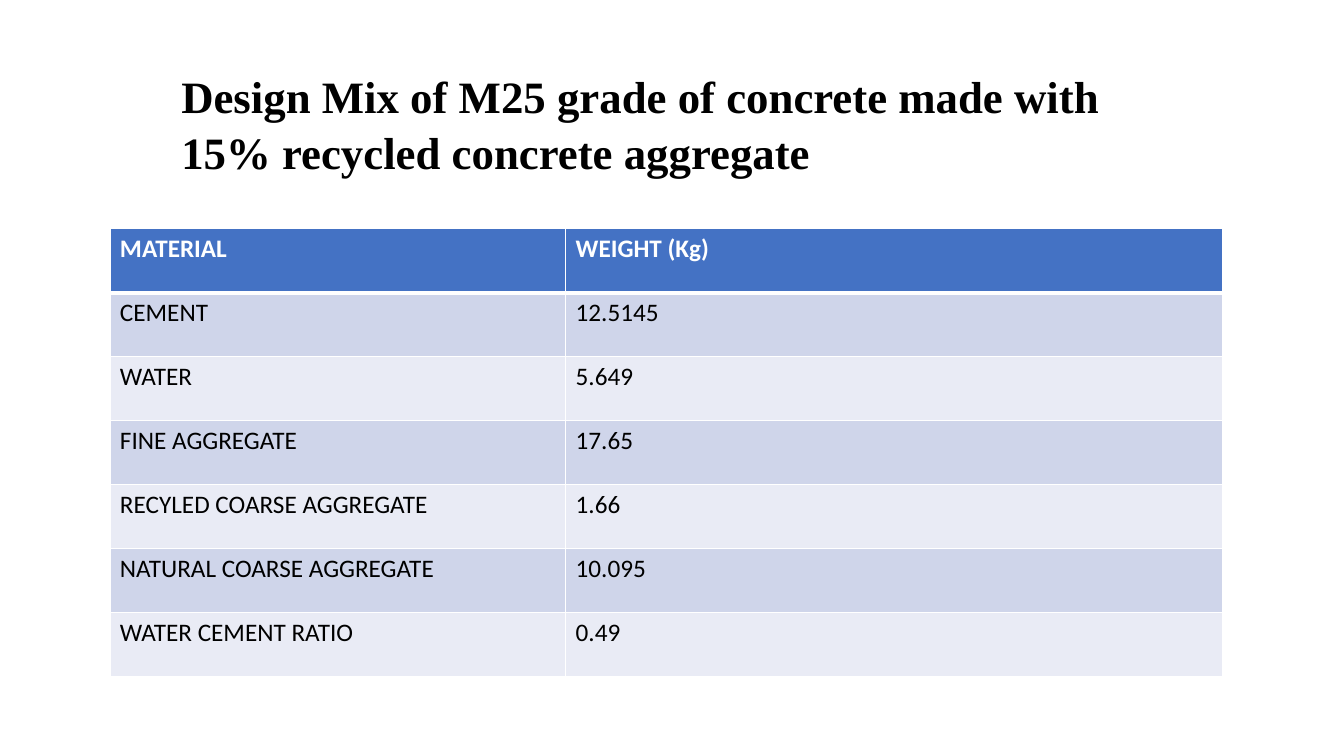
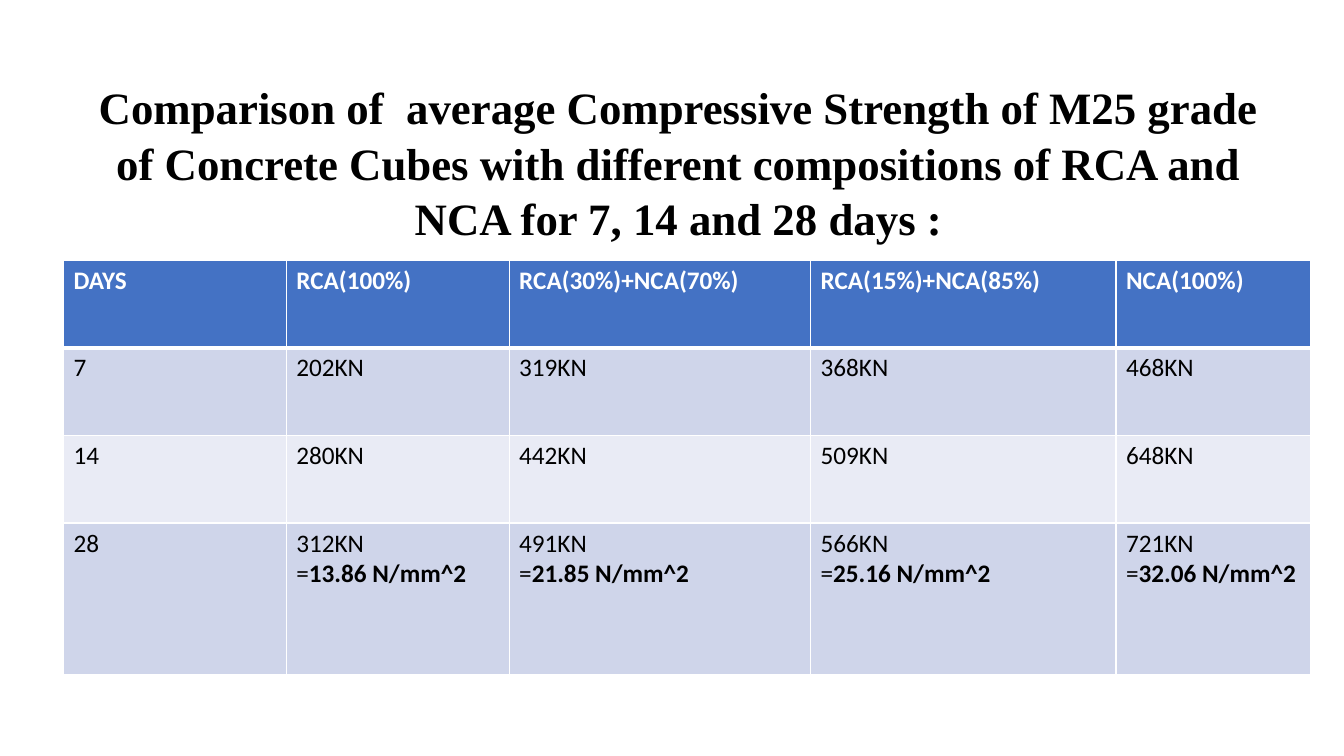
from lxml.etree import SubElement
from pptx import Presentation
from pptx.dml.color import RGBColor
from pptx.enum.text import PP_ALIGN
from pptx.oxml.ns import qn
from pptx.util import Inches, Pt

WIDTH, HEIGHT = 13.33, 7.5
WHITE, BLACK, HEADER = "FFFFFF", "000000", "4472C4"
BANDS = ("CFD5EA", "E9EBF5")
TITLE_FONT, BODY_FONT = "Times New Roman", "Calibri"

SLIDES = [
    {
        "title": "Design Mix of M25 grade of concrete made with 15% recycled concrete aggregate",
        "title_box": (1.7, 0.62, 9.8, 1.15),
        "align": PP_ALIGN.LEFT,
        "corner": (1.09, 2.27),
        "columns": (4.52, 6.52),
        "row_heights": (4.44 / 7,) * 7,
        "rows": [
            ("MATERIAL", "WEIGHT (Kg)"),
            ("CEMENT", "12.5145"),
            ("WATER", "5.649"),
            ("FINE AGGREGATE", "17.65"),
            ("RECYLED COARSE AGGREGATE", "1.66"),
            ("NATURAL COARSE AGGREGATE", "10.095"),
            ("WATER CEMENT RATIO", "0.49"),
        ],
    },
    {
        "title": "Comparison of  average Compressive Strength of M25 grade of Concrete Cubes "
                 "with different compositions of RCA and NCA for 7, 14 and 28 days :",
        "title_box": (0.74, 0.73, 11.98, 1.7),
        "align": PP_ALIGN.CENTER,
        "corner": (0.63, 2.58),
        "columns": (2.21, 2.21, 2.99, 3.03, 1.93),
        "row_heights": (0.87, 0.87, 0.87, 1.5),
        "rows": [
            ("DAYS", "RCA(100%)", "RCA(30%)+NCA(70%)", "RCA(15%)+NCA(85%)", "NCA(100%)"),
            ("7", "202KN", "319KN", "368KN", "468KN"),
            ("14", "280KN", "442KN", "509KN", "648KN"),
            ("28", "312KN\n=13.86 N/mm^2", "491KN\n=21.85 N/mm^2",
             "566KN\n=25.16 N/mm^2", "721KN\n=32.06 N/mm^2"),
        ],
    },
]


def color(value):
    return RGBColor.from_string(value)


def style(run, font, size, tint, bold):
    run.font.name = font
    run.font.size = Pt(size)
    run.font.color.rgb = color(tint)
    run.font.bold = bold


def add_title(slide, content):
    frame = slide.shapes.add_textbox(*map(Inches, content["title_box"])).text_frame
    frame.word_wrap = True
    frame.text = content["title"]
    heading = frame.paragraphs[0]
    heading.alignment = content["align"]
    heading.line_spacing = 1.03
    style(heading.runs[0], TITLE_FONT, 32, BLACK, True)


def add_borders(cell, row):
    widths = {"a:lnL": 1, "a:lnR": 1, "a:lnT": 3 if row == 1 else 1, "a:lnB": 3 if row == 0 else 1}
    properties = cell._tc.get_or_add_tcPr()
    for side, width in widths.items():
        border = SubElement(properties, qn(side), w=str(Pt(width)))
        SubElement(SubElement(border, qn("a:solidFill")), qn("a:srgbClr"), val=WHITE)


def fill_cell(cell, row, text):
    is_header = row == 0
    add_borders(cell, row)
    cell.fill.solid()
    cell.fill.fore_color.rgb = color(HEADER if is_header else BANDS[(row - 1) % 2])
    cell.text_frame.text = text
    for paragraph in cell.text_frame.paragraphs:
        strength = paragraph.text.partition("=")[2]
        if strength:
            paragraph.text = "="
            paragraph.add_run().text = strength
        for position, run in enumerate(paragraph.runs):
            style(run, BODY_FONT, 18, WHITE if is_header else BLACK, is_header or position > 0)


def add_data_table(slide, content):
    columns, heights, rows = content["columns"], content["row_heights"], content["rows"]
    extent = (*content["corner"], sum(columns), sum(heights))
    table = slide.shapes.add_table(len(rows), len(columns), *map(Inches, extent)).table
    for column, width in zip(table.columns, columns):
        column.width = Inches(width)
    for row, (height, texts) in enumerate(zip(heights, rows)):
        table.rows[row].height = Inches(height)
        for column, text in enumerate(texts):
            fill_cell(table.cell(row, column), row, text)


def main():
    deck = Presentation()
    deck.slide_width, deck.slide_height = Inches(WIDTH), Inches(HEIGHT)
    for content in SLIDES:
        slide = deck.slides.add_slide(deck.slide_layouts[6])
        add_title(slide, content)
        add_data_table(slide, content)
    deck.save("out.pptx")


if __name__ == "__main__":
    main()
